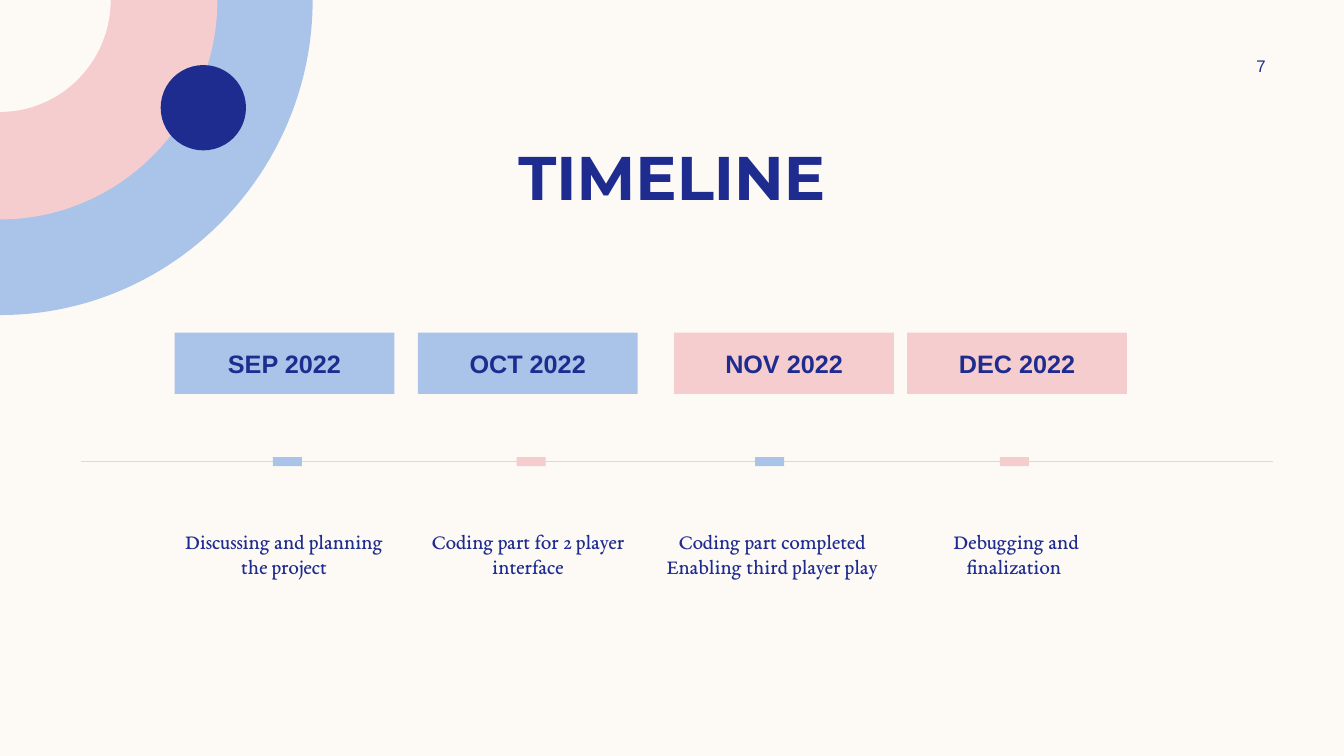
from dataclasses import dataclass

from lxml import etree
from pptx import Presentation
from pptx import util as u
from pptx.dml.color import RGBColor
from pptx.enum import shapes, text
from pptx.oxml.ns import qn


@dataclass(frozen=True)
class Theme:
    cream: str = "FDFAF6"
    blue: str = "AAC3E8"
    pink: str = "F5CDCE"
    navy: str = "1F2C8F"
    rule: str = "F1D0D0"
    title: int = 44
    month: int = 18
    task: int = 15
    number: int = 12


theme = Theme()


def write(sp, words, size, font="Arial", bold=False, anchor="MIDDLE", inset_x=0, inset_y=0):
    tf = sp.text_frame
    tf.word_wrap = True
    tf.vertical_anchor = text.MSO_ANCHOR[anchor]
    tf.margin_left = tf.margin_right = u.Cm(inset_x)
    tf.margin_top = tf.margin_bottom = u.Cm(inset_y)
    for i, line in enumerate(words.split("\n")):
        p = tf.add_paragraph() if i else tf.paragraphs[0]
        p.alignment = text.PP_ALIGN.CENTER
        r = p.add_run()
        r.text = line
        r.font.name = font
        r.font.size = u.Pt(size)
        r.font.bold = bold
        r.font.color.rgb = RGBColor.from_string(theme.navy)


def paint(sp, color):
    sp.shadow.inherit = False
    sp.fill.solid()
    sp.fill.fore_color.rgb = RGBColor.from_string(color)
    sp.line.fill.background()


prs = Presentation()
prs.slide_width, prs.slide_height = u.Cm(33.87), u.Cm(19.05)
s = prs.slides.add_slide(prs.slide_layouts[6])
s.background.fill.solid()
s.background.fill.fore_color.rgb = RGBColor.from_string(theme.cream)

bend = 0.55
for rx, ry, color in [(7.88, 7.94, theme.blue), (5.48, 5.53, theme.pink),
                      (2.79, 2.82, theme.cream)]:
    corners = [(rx, 0), (rx, ry * bend), (rx * bend, ry), (0, ry)]
    outline = s.shapes.build_freeform(0, 0)
    outline.add_line_segments([(u.Cm(x), u.Cm(y)) for x, y in corners], close=True)
    quarter = outline.convert_to_shape()
    lines = list(quarter._element.iter(qn("a:lnTo")))[1:4]
    curve = etree.Element(qn("a:cubicBezTo"))
    lines[0].addprevious(curve)
    for line in lines:
        curve.append(line[0])
        line.getparent().remove(line)
    paint(quarter, color)

dot = s.shapes.add_shape(shapes.MSO_SHAPE.OVAL, u.Cm(4.05), u.Cm(1.64), u.Cm(2.15), u.Cm(2.15))
paint(dot, theme.navy)

axis = s.shapes.add_connector(shapes.MSO_CONNECTOR.STRAIGHT,
                              u.Cm(2.05), u.Cm(11.63), u.Cm(32.08), u.Cm(11.63))
axis.line.color.rgb = RGBColor.from_string(theme.rule)
axis.line.width = u.Pt(1)
etree.SubElement(axis._element.spPr, qn("a:effectLst"))

title = s.shapes.add_textbox(u.Cm(2.12), u.Cm(3.37), u.Cm(29.63), u.Cm(2.13))
write(title, "TIMELINE", theme.title, font="Montserrat", bold=True, anchor="TOP",
      inset_x=0.25, inset_y=0.13)
number = s.shapes.add_textbox(u.Cm(30.41), u.Cm(1.28), u.Cm(2.74), u.Cm(0.76))
write(number, "7", theme.number, inset_x=0.25, inset_y=0.13)

milestones = [
    ("SEP 2022", 4.4, theme.blue, 6.88, theme.blue, "Discussing and planning the project"),
    ("OCT 2022", 10.53, theme.blue, 13.02, theme.pink, "Coding part for 2 player interface"),
    ("NOV 2022", 16.99, theme.pink, 19.03, theme.blue,
     "Coding part completed\nEnabling third player play"),
    ("DEC 2022", 22.86, theme.pink, 25.2, theme.pink, "Debugging and finalization "),
]
for i, (month, card_x, card_color, tick_x, tick_color, task) in enumerate(milestones):
    card = s.shapes.add_shape(shapes.MSO_SHAPE.RECTANGLE,
                              u.Cm(card_x), u.Cm(8.38), u.Cm(5.54), u.Cm(1.55))
    paint(card, card_color)
    write(card, month, theme.month, bold=True)
    tick = s.shapes.add_shape(shapes.MSO_SHAPE.RECTANGLE,
                              u.Cm(tick_x), u.Cm(11.52), u.Cm(0.73), u.Cm(0.23))
    paint(tick, tick_color)
    note = s.shapes.add_textbox(u.Cm(4.39 + 6.15 * i), u.Cm(13.18), u.Cm(5.54), u.Cm(2.21))
    write(note, task, theme.task, font="EB Garamond", anchor="TOP", inset_y=0.13)

prs.save("out.pptx")
